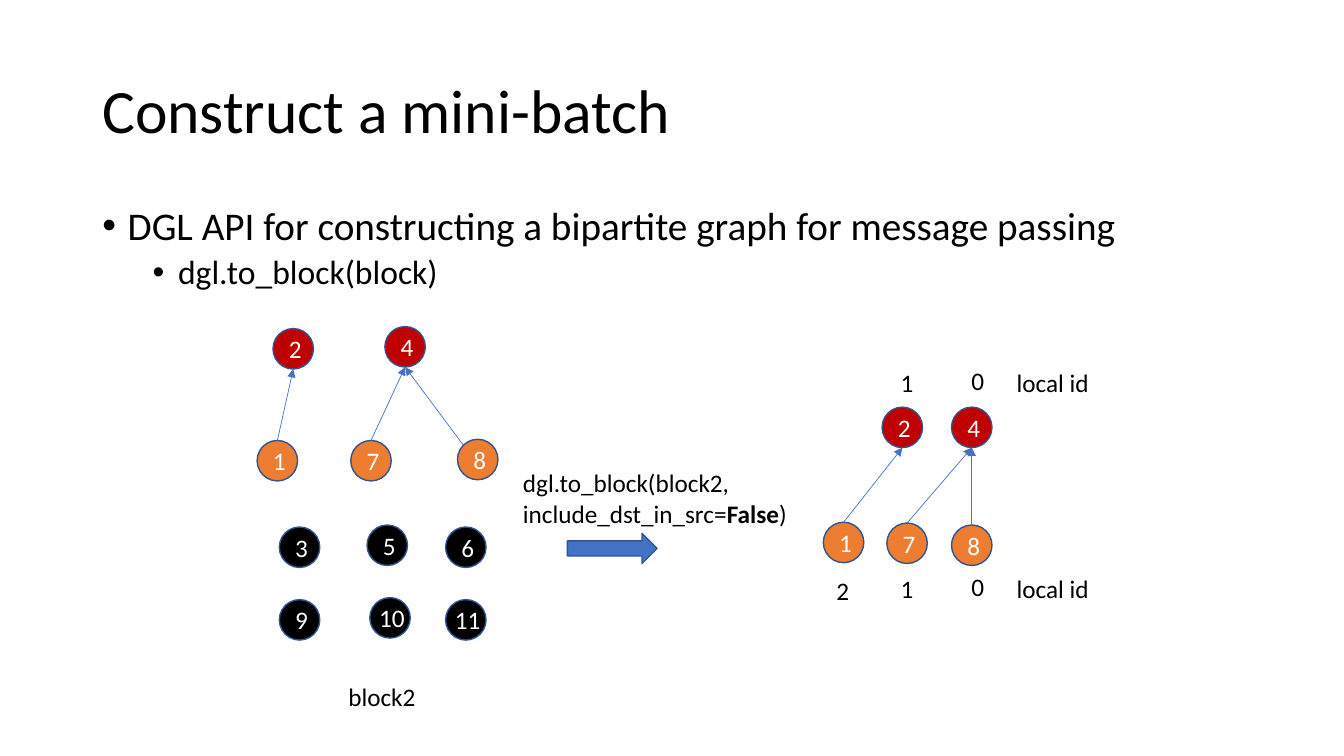
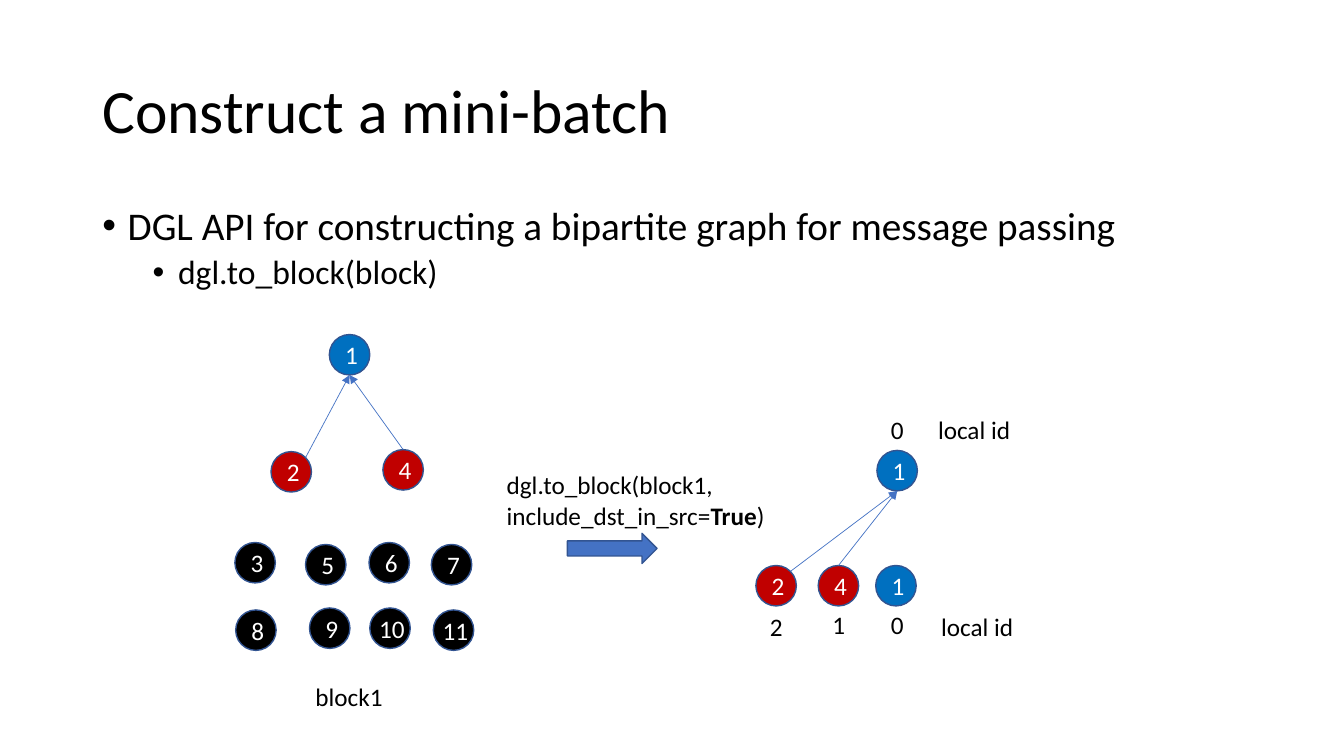
"""Builds two slides on turning a sampled block into a bipartite graph."""
from dataclasses import dataclass
from typing import Optional

from lxml.etree import SubElement
from pptx import Presentation
from pptx.dml.color import RGBColor
from pptx.enum.shapes import MSO_CONNECTOR as Connector, MSO_SHAPE as Preset
from pptx.enum.text import MSO_ANCHOR as Anchor, PP_ALIGN as Align
from pptx.oxml.ns import qn
from pptx.shapes.autoshape import Shape
from pptx.slide import Slide
from pptx.util import Cm, Pt


@dataclass(frozen=True)
class Theme:
    font: str = "Calibri"
    title_size: int = 44
    bullet_sizes: tuple[int, int] = (28, 24)
    label_size: int = 18
    text: str = "000000"
    node_text: str = "FFFFFF"
    accent: str = "4472C4"
    outline: str = "325491"
    seed: str = "0070C0"
    middle: str = "C00000"
    source: str = "ED7D31"
    unused: str = "000000"


THEME = Theme()
NODE_SIZE = 1.02
LINE_HEIGHT = 1.02
DIGIT_WIDTH = 0.84
LOCAL_ID_WIDTH = 2.36
BLOCK_WIDTH = 2.24
TITLE = "Construct a mini-batch"
BULLETS = (
    "DGL API for constructing a bipartite graph for message passing",
    "dgl.to_block(block)",
)


@dataclass(frozen=True)
class Node:
    name: str
    left: float
    top: float
    color: str
    parent: Optional["Node"] = None
    lean: int = 0

    @property
    def center(self) -> float:
        return self.left + NODE_SIZE / 2

    @property
    def edge_start(self) -> tuple[float, float]:
        """Top of the rim, or 45 degrees to the side the node leans to."""
        radius = NODE_SIZE / 2
        drop = 0.29 * radius if self.lean else 0
        return self.center + 0.71 * radius * self.lean, self.top + drop


@dataclass(frozen=True)
class Label:
    text: str
    left: float
    top: float
    width: float = DIGIT_WIDTH


@dataclass(frozen=True)
class BlockSlide:
    block: Label
    call: Label
    include_dst: str
    nodes: tuple[Node, ...]
    labels: tuple[Label, ...]


def set_font(paragraph, size: int, color: str = THEME.text) -> None:
    paragraph.font.name = THEME.font
    paragraph.font.size = Pt(size)
    paragraph.font.color.rgb = RGBColor.from_string(color)


def add_text(slide: Slide, left: float, top: float, width: float, height: float,
             lines: tuple[str, ...], size: int, wrap: bool = False) -> Shape:
    box = slide.shapes.add_textbox(Cm(left), Cm(top), Cm(width), Cm(height))
    frame = box.text_frame
    frame.word_wrap = wrap
    frame.text = "\n".join(lines)
    for paragraph in frame.paragraphs:
        set_font(paragraph, size)
    return box


def add_label(slide: Slide, label: Label) -> None:
    add_text(slide, label.left, label.top, label.width, LINE_HEIGHT,
             (label.text,), THEME.label_size)


def add_heading(slide: Slide) -> None:
    title = add_text(slide, 2.33, 1.01, 29.21, 3.68, (TITLE,), THEME.title_size, wrap=True)
    title.text_frame.vertical_anchor = Anchor.MIDDLE
    title.text_frame.paragraphs[0].line_spacing = 0.9
    body = add_text(slide, 2.33, 5.07, 29.21, 12.09, BULLETS, THEME.label_size, wrap=True)
    for level, paragraph in enumerate(body.text_frame.paragraphs):
        paragraph.level = level
        paragraph.line_spacing = 0.9
        paragraph.space_before = Pt(10 - 5 * level)
        paragraph.font.size = Pt(THEME.bullet_sizes[level])
        add_bullet(paragraph, 0.64 + 1.27 * level)


def add_bullet(paragraph, indent: float) -> None:
    properties = paragraph._p.get_or_add_pPr()
    properties.set("marL", str(Cm(indent)))
    properties.set("indent", str(Cm(-0.64)))
    defaults = properties.find(qn("a:defRPr"))
    for tag, key, value in (("a:buFont", "typeface", "Arial"), ("a:buChar", "char", "•")):
        bullet = SubElement(properties, qn(tag))
        bullet.set(key, value)
        defaults.addprevious(bullet)


def add_filled(slide: Slide, preset: Preset, left: float, top: float,
               width: float, height: float, color: str) -> Shape:
    shape = slide.shapes.add_shape(preset, Cm(left), Cm(top), Cm(width), Cm(height))
    shape.shadow.inherit = False
    shape.fill.solid()
    shape.fill.fore_color.rgb = RGBColor.from_string(color)
    shape.line.color.rgb = RGBColor.from_string(THEME.outline)
    shape.line.width = Pt(1)
    return shape


def add_node(slide: Slide, node: Node) -> None:
    shape = add_filled(slide, Preset.OVAL, node.left, node.top, NODE_SIZE, NODE_SIZE, node.color)
    frame = shape.text_frame
    frame.word_wrap = False
    frame.vertical_anchor = Anchor.MIDDLE
    frame.margin_left = Cm(0.1)
    frame.margin_right = frame.margin_top = frame.margin_bottom = 0
    frame.text = node.name
    frame.paragraphs[0].alignment = Align.CENTER
    set_font(frame.paragraphs[0], THEME.label_size, THEME.node_text)


def add_edge(slide: Slide, child: Node, parent: Node) -> None:
    x, y = child.edge_start
    edge = slide.shapes.add_connector(
        Connector.STRAIGHT, Cm(x), Cm(y), Cm(parent.center), Cm(parent.top + NODE_SIZE))
    edge.line.color.rgb = RGBColor.from_string(THEME.accent)
    edge.line.width = Pt(0.5)
    SubElement(edge.line._get_or_add_ln(), qn("a:tailEnd")).set("type", "triangle")
    SubElement(edge._element.spPr, qn("a:effectLst"))


def add_call(slide: Slide, call: Label, include_dst: str) -> None:
    box = add_text(slide, call.left, call.top, call.width, 1.8,
                   (call.text, "include_dst_in_src="), THEME.label_size)
    argument = box.text_frame.paragraphs[1]
    value = argument.add_run()
    value.text = include_dst
    value.font.bold = True
    argument.add_run().text = ")"
    add_filled(slide, Preset.RIGHT_ARROW, 14.3, 13.44, 2.26, 0.76, THEME.accent)


def add_block_slide(presentation, content: BlockSlide) -> None:
    slide = presentation.slides.add_slide(presentation.slide_layouts[6])
    add_heading(slide)
    for node in content.nodes:
        add_node(slide, node)
        if node.parent:
            add_edge(slide, node, node.parent)
    for label in (content.block, *content.labels):
        add_label(slide, label)
    add_call(slide, content.call, content.include_dst)


def block2_slide() -> BlockSlide:
    left_2 = Node("2", 6.88, 8.28, THEME.middle)
    left_4 = Node("4", 9.7, 8.23, THEME.middle)
    right_2 = Node("2", 22.23, 10.26, THEME.middle)
    right_4 = Node("4", 23.98, 10.26, THEME.middle)
    return BlockSlide(
        block=Label("block2", 8.53, 17.04, BLOCK_WIDTH),
        call=Label("dgl.to_block(block2,", 12.93, 11.66, 7.24),
        include_dst="False",
        nodes=(
            left_2, left_4, right_2, right_4,
            Node("1", 6.48, 11.1, THEME.source, left_2),
            Node("7", 8.84, 11.1, THEME.source, left_4),
            Node("8", 11.53, 11.07, THEME.source, left_4, lean=-1),
            Node("3", 7.04, 13.28, THEME.unused),
            Node("5", 9.25, 13.23, THEME.unused),
            Node("6", 11.23, 13.28, THEME.unused),
            Node("9", 7.04, 15.11, THEME.unused),
            Node("10", 9.32, 15.06, THEME.unused),
            Node("11", 11.23, 15.11, THEME.unused),
            Node("1", 20.75, 13.16, THEME.source, right_2),
            Node("7", 22.35, 13.18, THEME.source, right_4),
            Node("8", 23.98, 13.23, THEME.source, right_4),
        ),
        labels=(
            Label("1", 22.45, 9.14),
            Label("0", 24.23, 9.09),
            Label("local id", 25.37, 9.14, LOCAL_ID_WIDTH),
            Label("2", 20.83, 14.38),
            Label("1", 22.45, 14.33),
            Label("0", 24.23, 14.27),
            Label("local id", 25.37, 14.33, LOCAL_ID_WIDTH),
        ),
    )


def block1_slide() -> BlockSlide:
    left_1 = Node("1", 8.3, 8.43, THEME.seed)
    right_1 = Node("1", 22.1, 11.35, THEME.seed)
    return BlockSlide(
        block=Label("block1", 7.7, 17.04, BLOCK_WIDTH),
        call=Label("dgl.to_block(block1,", 12.52, 11.71, 7.09),
        include_dst="True",
        nodes=(
            left_1, right_1,
            Node("2", 6.83, 11.38, THEME.middle, left_1, lean=1),
            Node("4", 9.65, 11.33, THEME.middle, left_1),
            Node("3", 5.92, 13.67, THEME.unused),
            Node("5", 7.7, 13.72, THEME.unused),
            Node("6", 9.3, 13.67, THEME.unused),
            Node("7", 10.87, 13.72, THEME.unused),
            Node("8", 5.94, 15.37, THEME.unused),
            Node("9", 7.8, 15.32, THEME.unused),
            Node("10", 9.32, 15.32, THEME.unused),
            Node("11", 10.92, 15.37, THEME.unused),
            Node("2", 19.05, 14.25, THEME.middle, right_1, lean=1),
            Node("4", 20.62, 14.25, THEME.middle, right_1),
            Node("1", 22.07, 14.25, THEME.seed),
        ),
        labels=(
            Label("0", 22.2, 10.31),
            Label("local id", 23.39, 10.31, LOCAL_ID_WIDTH),
            Label("2", 19.15, 15.27),
            Label("1", 20.73, 15.24),
            Label("0", 22.2, 15.24),
            Label("local id", 23.47, 15.27, LOCAL_ID_WIDTH),
        ),
    )


def main() -> None:
    presentation = Presentation()
    presentation.slide_width = Cm(33.87)
    presentation.slide_height = Cm(19.05)
    for content in (block2_slide(), block1_slide()):
        add_block_slide(presentation, content)
    presentation.save("out.pptx")


if __name__ == "__main__":
    main()
